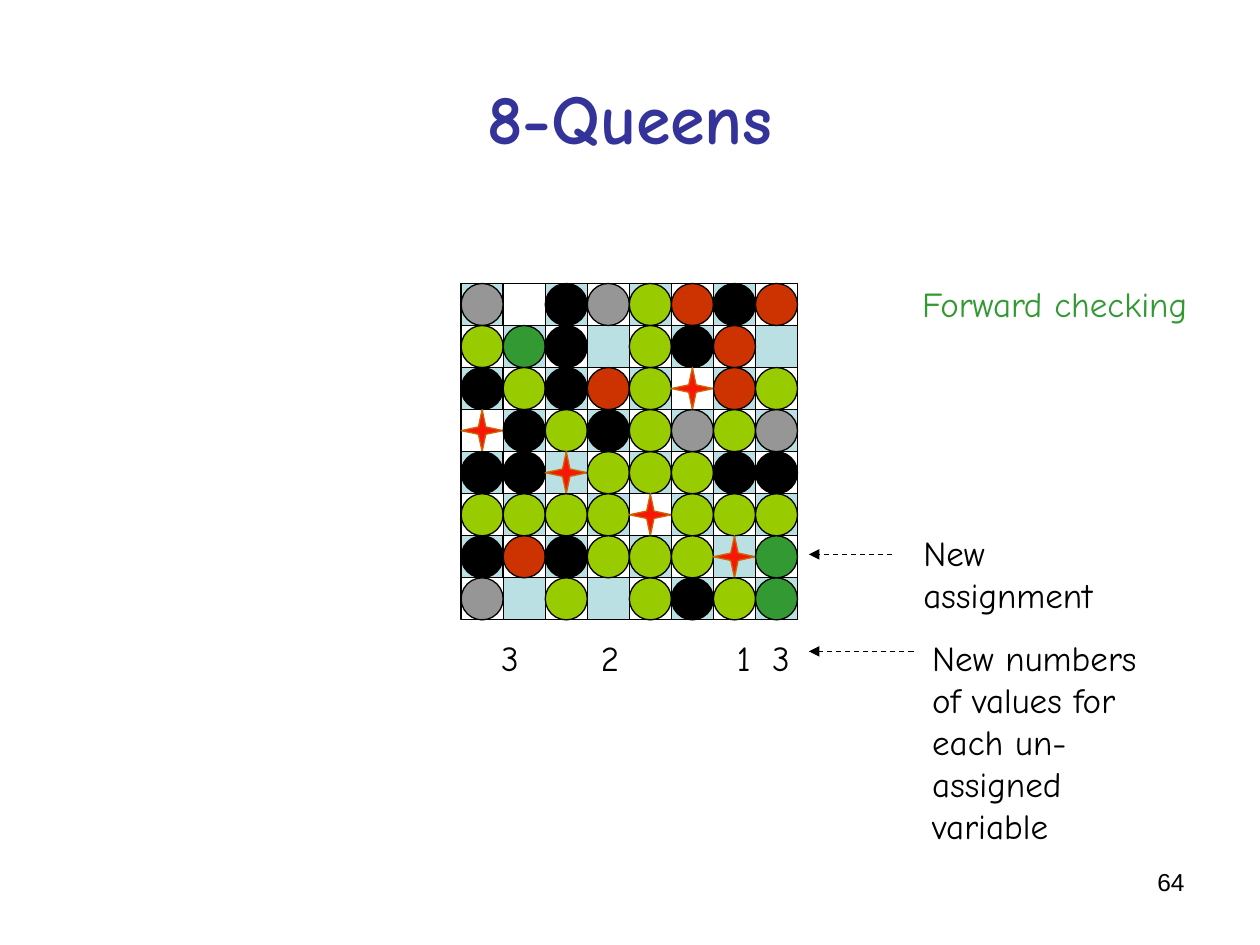
import pptx
import pptx.util
import pptx.dml.color
import pptx.enum.dml
import pptx.enum.shapes
import pptx.enum.text
import pptx.oxml.ns
import lxml.etree

Inches = pptx.util.Inches
Pt = pptx.util.Pt
SHAPE = pptx.enum.shapes.MSO_SHAPE
ALIGN = pptx.enum.text.PP_ALIGN
ANCHOR = pptx.enum.text.MSO_ANCHOR

THEME = {
    "square": "BBE0E3", "outline": "000000", "text": "000000", "title": "333399",
    "queen": "F81706", "queen_edge": "CC6600", "green": "339933", "line": 0.75,
    "title_font": {"name": "Comic Neue", "size": Pt(40), "bold": True},
    "body_font": {"name": "Comic Neue", "size": Pt(20)},
    "number_font": {"name": "Arial", "size": Pt(14)},
}

TITLE = "8-Queens"
BOARD = [
    "G.BGLRBR",
    "LDB.LBR.",
    "BLBRLQRL",
    "QBLBLGLG",
    "BBQLLLBB",
    "LLLLQLLL",
    "BRBLLLQD",
    "G.L.LBLD",
]
MARKERS = {"L": "99CC00", "B": "000000", "G": "969696", "R": "CC3300", "D": "339933"}
BOARD_LEFT, BOARD_TOP, BOARD_SIZE = 3.66, 2.25, 2.67
CELL = BOARD_SIZE / len(BOARD)

COUNTS = ["3", "2", "1", "3"]
COUNT_TABS = [0.79, 1.87, 2.15]
TEXTS = [
    (["\t".join(COUNTS)], (3.88, 5, 2.5, 0.44), "body_font", "text", ALIGN.LEFT, COUNT_TABS),
    (["New numbers", "of values for", "each un-assigned\vvariable"],
     (7.3, 5, 2.29, 1.44), "body_font", "text", ALIGN.LEFT, []),
    (["New assignment"], (7.23, 4.17, 2.12, 0.44), "body_font", "text", ALIGN.LEFT, []),
    (["Forward checking"], (7.22, 2.19, 2.33, 0.44), "body_font", "green", ALIGN.LEFT, []),
    (["64"], (7.17, 6.83, 2.33, 0.52), "number_font", "text", ALIGN.RIGHT, []),
]
ARROWS = [(7.25, 6.42, 5.17), (7.08, 6.42, 4.4)]


def color(value):
    return pptx.dml.color.RGBColor.from_string(value)


def add_child(parent, tag, **values):
    return lxml.etree.SubElement(parent, pptx.oxml.ns.qn(tag), values)


def add_piece(page, kind, place, fill, edge):
    piece = page.shapes.add_shape(kind, *map(Inches, place))
    piece.shadow.inherit = False
    if fill:
        piece.fill.solid()
        piece.fill.fore_color.rgb = color(fill)
    else:
        piece.fill.background()
    piece.line.color.rgb = color(edge)
    piece.line.width = Pt(THEME["line"])
    return piece


def write(frame, lines, font, ink, align, tabs=()):
    for index, line in enumerate(lines):
        para = frame.add_paragraph() if index else frame.paragraphs[0]
        para.text = line
        para.alignment = align
        if tabs:
            stops = add_child(para._p.get_or_add_pPr(), "a:tabLst")
            for stop in tabs:
                add_child(stops, "a:tab", pos=str(Inches(stop)), algn="l")
        for span in para.runs:
            for name, value in THEME[font].items():
                setattr(span.font, name, value)
            span.font.color.rgb = color(THEME[ink])


def draw_board(page):
    cells = [
        (row, column, mark, (BOARD_LEFT + column * CELL, BOARD_TOP + row * CELL, CELL, CELL))
        for row, marks in enumerate(BOARD)
        for column, mark in enumerate(marks)
    ]
    add_piece(page, SHAPE.RECTANGLE, (BOARD_LEFT, BOARD_TOP, BOARD_SIZE, BOARD_SIZE),
              None, THEME["outline"])
    for row, column, mark, place in cells:
        if (row + column) % 2 == 0:
            add_piece(page, SHAPE.RECTANGLE, place, THEME["square"], THEME["outline"])
    for row, column, mark, place in cells:
        if mark == "Q":
            queen = add_piece(page, SHAPE.STAR_4_POINT, place,
                              THEME["queen"], THEME["queen_edge"])
            queen.adjustments[0] = 0.125
        elif mark in MARKERS:
            add_piece(page, SHAPE.OVAL, place, MARKERS[mark], THEME["outline"])


def add_arrow(page, start, end, height):
    arrow = page.shapes.add_connector(
        pptx.enum.shapes.MSO_CONNECTOR.STRAIGHT,
        Inches(start), Inches(height), Inches(end), Inches(height))
    arrow.line.color.rgb = color(THEME["outline"])
    arrow.line.width = Pt(THEME["line"])
    arrow.line.dash_style = pptx.enum.dml.MSO_LINE.DASH
    add_child(arrow.line._get_or_add_ln(), "a:tailEnd", type="triangle")
    add_child(arrow._element.spPr, "a:effectLst")


def main():
    deck = pptx.Presentation()
    deck.slide_width, deck.slide_height = Inches(10), Inches(7.5)
    page = deck.slides.add_slide(deck.slide_layouts[5])

    title = page.shapes.title
    title.left, title.top, title.width, title.height = map(Inches, (0.5, 0.3, 9, 1.25))
    title.text_frame.vertical_anchor = ANCHOR.MIDDLE
    write(title.text_frame, [TITLE], "title_font", "title", ALIGN.CENTER)

    draw_board(page)
    for lines, place, font, ink, align, tabs in TEXTS:
        box = page.shapes.add_textbox(*map(Inches, place))
        box.text_frame.word_wrap = True
        write(box.text_frame, lines, font, ink, align, tabs)
    for start, end, height in ARROWS:
        add_arrow(page, start, end, height)

    deck.save("out.pptx")


if __name__ == "__main__":
    main()
